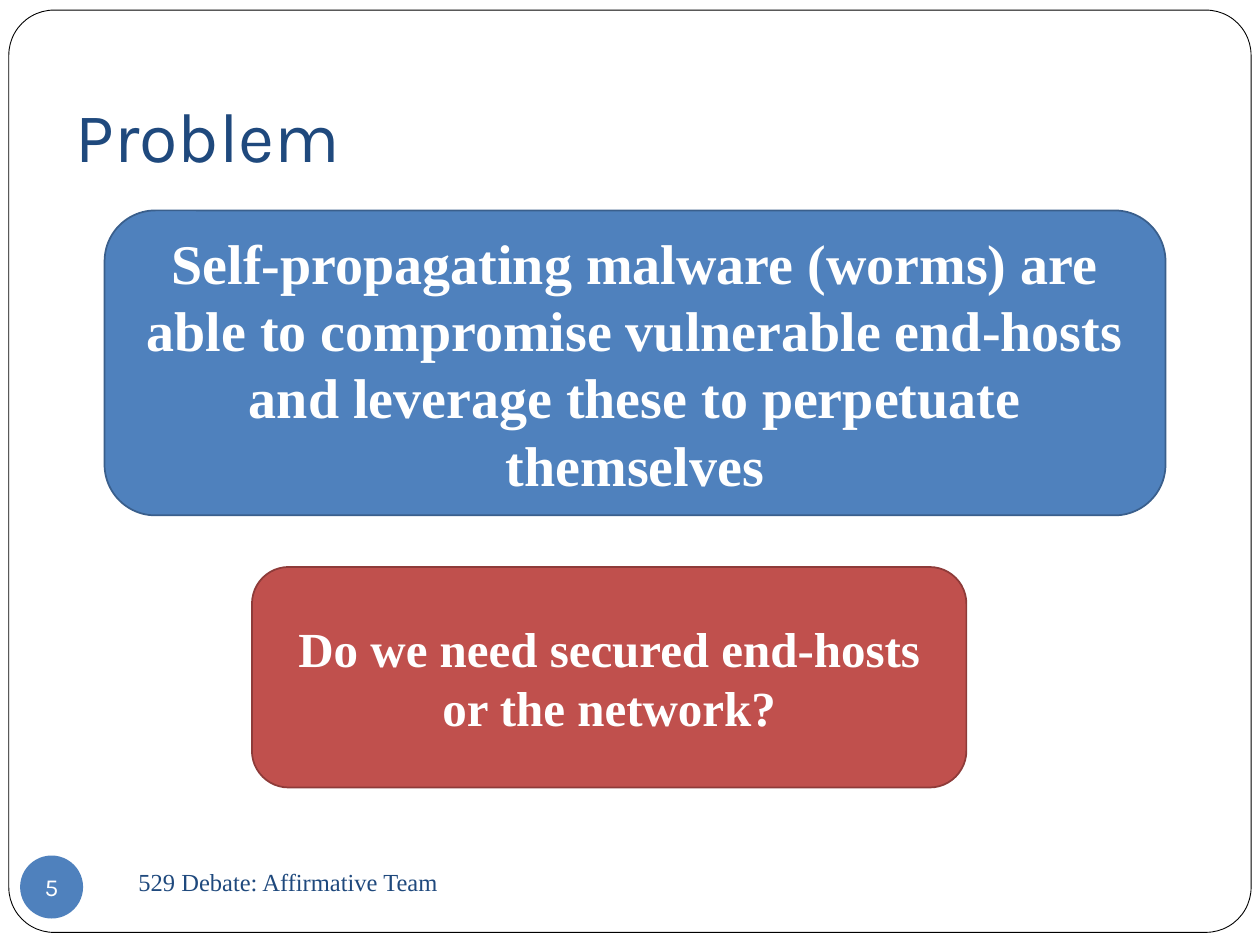
import pptx
import pptx.util
import pptx.dml.color
import pptx.enum.shapes
import pptx.enum.text

Inches, Pt = pptx.util.Inches, pptx.util.Pt
RGB = pptx.dml.color.RGBColor
SHAPE = pptx.enum.shapes.MSO_SHAPE
ANCHOR = pptx.enum.text.MSO_ANCHOR
ALIGN = pptx.enum.text.PP_ALIGN

WHITE, BLACK, NAVY = RGB(255, 255, 255), RGB(0, 0, 0), RGB(0x1F, 0x49, 0x7D)
BLUE, BLUE_EDGE = RGB(0x4F, 0x81, 0xBD), RGB(0x3A, 0x5F, 0x8C)
RED, RED_EDGE = RGB(0xC0, 0x50, 0x4D), RGB(0x8E, 0x3B, 0x39)
SERIF, SANS = "Times New Roman", "Karla"

TITLE = "Problem"
FOOTER = "529 Debate: Affirmative Team"
PAGE = "5"
# text, box, fill, edge, text size
STATEMENTS = [
    ("Self-propagating malware (worms) are able to compromise vulnerable "
     "end-hosts and leverage these to perpetuate themselves",
     (0.83, 1.67, 8.42, 2.42), BLUE, BLUE_EDGE, 32),
    ("Do we need secured end-hosts or the network?",
     (2, 4.5, 5.67, 1.75), RED, RED_EDGE, 28),
]


def add_shape(s, kind, box, fill, edge=None, width=1):
    sp = s.shapes.add_shape(kind, *map(Inches, box))
    sp.shadow.inherit = False
    sp.fill.solid()
    sp.fill.fore_color.rgb = fill
    if edge is None:
        sp.line.fill.background()
    else:
        sp.line.color.rgb = edge
        sp.line.width = Pt(width)
    return sp


def write(sp, text, font, size, color, bold=False, align=ALIGN.LEFT,
          anchor=ANCHOR.MIDDLE, wrap=True, insets=(0.1, 0.05, 0.1, 0.05)):
    tf = sp.text_frame
    frame = {"word_wrap": wrap, "vertical_anchor": anchor,
             "auto_size": pptx.enum.text.MSO_AUTO_SIZE.NONE}
    for side, inset in zip(("left", "top", "right", "bottom"), insets):
        frame["margin_" + side] = Inches(inset)
    for name, value in frame.items():
        setattr(tf, name, value)
    p = tf.paragraphs[0]
    p.alignment = align
    r = p.add_run()
    r.text = text
    for name, value in {"name": font, "size": Pt(size), "bold": bold}.items():
        setattr(r.font, name, value)
    r.font.color.rgb = color


prs = pptx.Presentation()
prs.slide_width, prs.slide_height = Inches(10), Inches(7.5)
s = prs.slides.add_slide(prs.slide_layouts[5])

frame = add_shape(s, SHAPE.ROUNDED_RECTANGLE, (0.07, 0.08, 9.86, 7.32),
                  WHITE, BLACK, 0.5)
frame.adjustments[0] = 0.049

title = s.shapes.title
title.left, title.top, title.width, title.height = map(
    Inches, (0.5, 0.25, 9, 1.25))
write(title, TITLE, SANS, 40, NAVY, anchor=ANCHOR.BOTTOM,
      insets=(0.1, 0.05, 0.1, 0.1))
frame._element.addnext(title._element)  # the frame lies behind the title

footer = s.shapes.add_textbox(*map(Inches, (1, 6.75, 4.33, 0.5)))
write(footer, FOOTER, SERIF, 14, NAVY)

badge = add_shape(s, SHAPE.OVAL, (0.16, 6.79, 0.5, 0.5), BLUE)
write(badge, PAGE, SANS, 14, WHITE, align=ALIGN.CENTER, wrap=False,
      insets=(0, 0, 0, 0))

for text, box, fill, edge, size in STATEMENTS:
    sp = add_shape(s, SHAPE.ROUNDED_RECTANGLE, box, fill, edge)
    write(sp, text, SERIF, size, WHITE, bold=True, align=ALIGN.CENTER)

prs.save("out.pptx")
